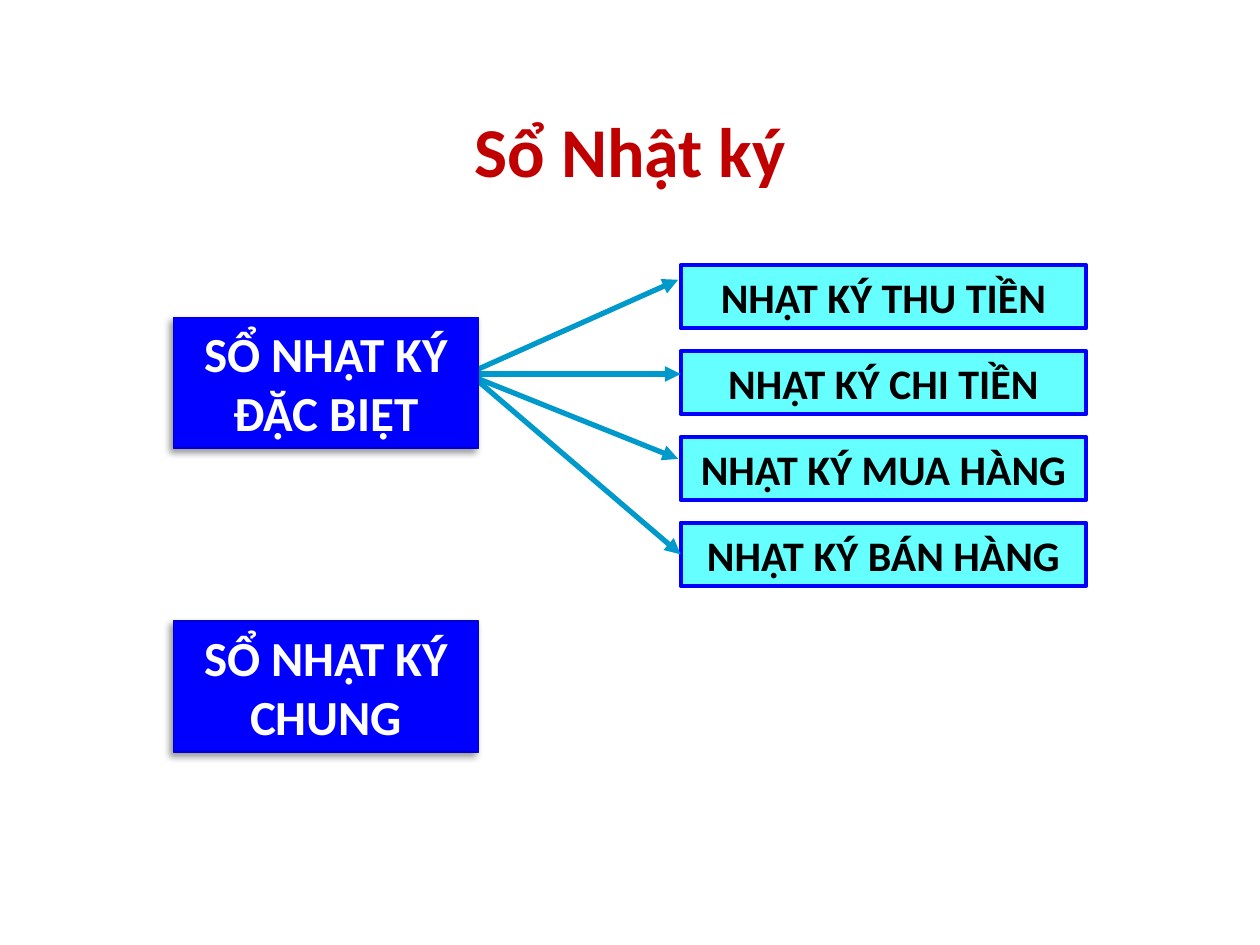
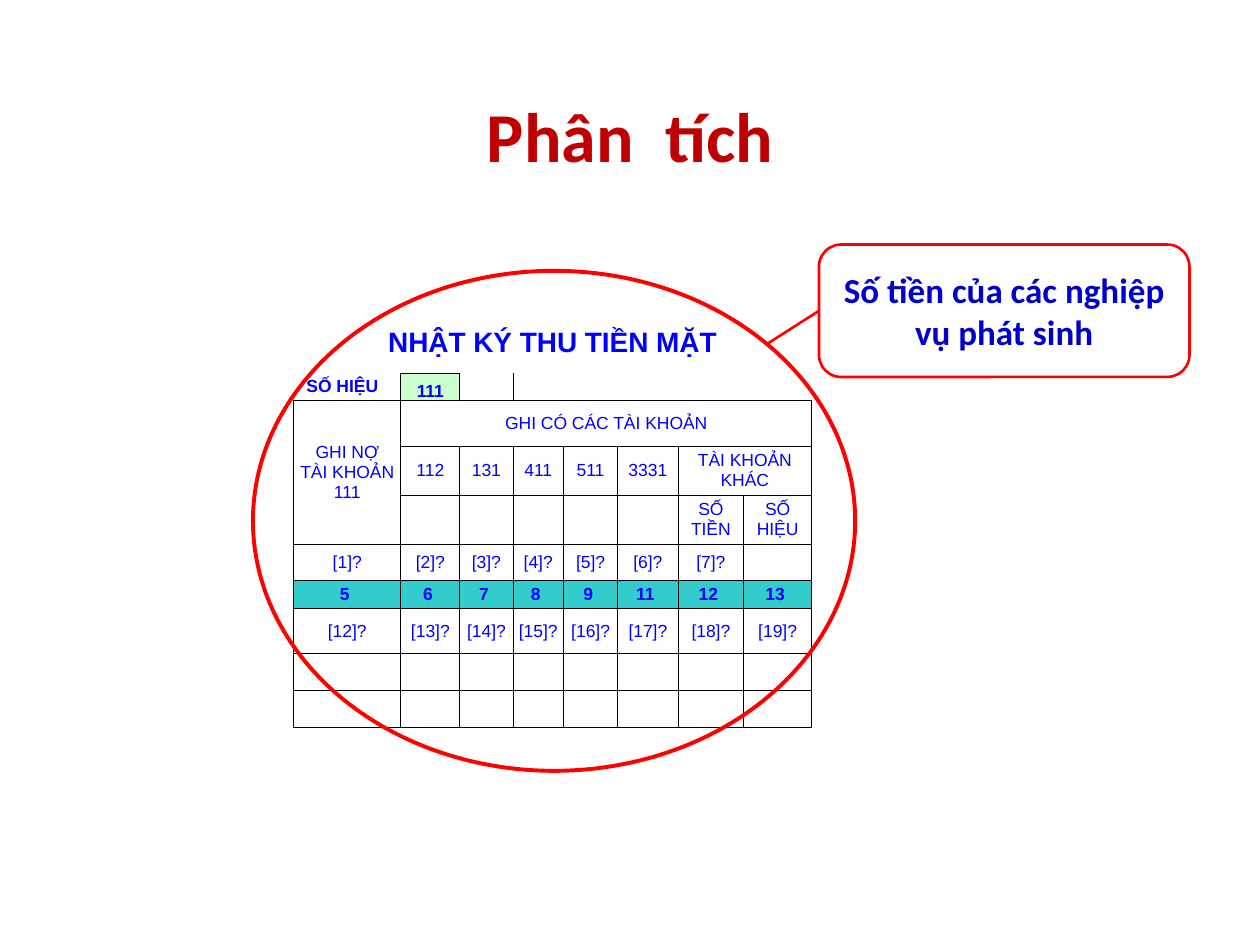
from lxml.etree import SubElement
from pptx import Presentation
from pptx.dml.color import RGBColor
from pptx.enum.shapes import MSO_CONNECTOR, MSO_SHAPE
from pptx.enum.text import MSO_ANCHOR, MSO_AUTO_SIZE, PP_ALIGN
from pptx.oxml.ns import qn
from pptx.util import Cm, Pt

BLACK = RGBColor(0, 0, 0)
WHITE = RGBColor(255, 255, 255)
CRIMSON = RGBColor(0xC0, 0, 0)
RED = RGBColor(0xFF, 0, 0)
BLUE = RGBColor(0, 0, 0xFF)
NAVY = RGBColor(0, 0, 0xCC)
CYAN = RGBColor(0x66, 0xFF, 0xFF)
TEAL = RGBColor(0x33, 0xCC, 0xCC)
MINT = RGBColor(0xCC, 0xFF, 0xCC)
STEEL = RGBColor(0, 0x99, 0xCC)

NO_STYLE = "{2D5ABB26-0587-4C30-8999-92F81FD0307C}"
LEFT_SIDE = 1

JOURNALS = ["NHẬT KÝ THU TIỀN", "NHẬT KÝ CHI TIỀN",
            "NHẬT KÝ MUA HÀNG", "NHẬT KÝ BÁN HÀNG"]
ARROWS = [((9.53, 7.49), (13.67, 5.64)),
          ((9.53, 7.54), (13.72, 7.54)),
          ((9.53, 7.59), (13.67, 9.25)),
          ((9.53, 7.59), (13.72, 11.18))]

WIDTHS = [2.16, 1.19, 1.07, 1.02, 1.09, 1.22, 1.32, 1.37]
HEIGHTS = [1.22, 0.56, 0.91, 0.99, 0.99, 0.74, 0.56, 0.91, 0.74, 0.74]
LEDGER = [
    ["NHẬT KÝ THU TIỀN MẶT"],
    ["SỐ HIỆU", "111"],
    ["GHI NỢ\nTÀI KHOẢN\n111", "GHI CÓ CÁC TÀI KHOẢN"],
    ["", "112", "131", "411", "511", "3331", "TÀI KHOẢN KHÁC"],
    ["", "", "", "", "", "", "SỐ TIỀN", "SỐ HIỆU"],
    [f"[{n}]?" for n in range(1, 8)],
    ["5", "6", "7", "8", "9", "11", "12", "13"],
    [f"[{n}]?" for n in range(12, 20)],
    [],
    [],
]
MERGES = [((0, 0), (0, 7)), ((2, 0), (4, 0)), ((2, 1), (2, 7)), ((3, 6), (3, 7))]
TITLE_ROW, CODE_ROW, HEAD_ROW, INDEX_ROW = 0, 1, 2, 6
CODE_EDGES = ["RB", "LTRB", "LB"] + ["B"] * 5


def write(frame, text, size, color, bold=True, face="Calibri"):
    frame.text = text
    frame.word_wrap = True
    for para in frame.paragraphs:
        para.alignment = PP_ALIGN.CENTER
        font = para.font
        font.name, font.size, font.bold = face, Pt(size), bold
        font.color.rgb = color


def add_title(slide, text, top):
    frame = slide.shapes.add_textbox(Cm(2.7), Cm(top), Cm(20), Cm(2.45)).text_frame
    write(frame, text, 40, CRIMSON)
    frame.vertical_anchor = MSO_ANCHOR.MIDDLE
    frame.margin_left = frame.margin_right = Cm(0.1)
    frame.margin_top = frame.margin_bottom = Cm(0.1)
    frame.paragraphs[0].line_spacing = 0.9


def add_form(slide, kind, place, edge, width, fill=None):
    form = slide.shapes.add_shape(kind, *map(Cm, place))
    form.shadow.inherit = False
    if fill is None:
        form.fill.background()
    else:
        form.fill.solid()
        form.fill.fore_color.rgb = fill
    form.line.color.rgb = edge
    form.line.width = Pt(width)
    return form


def add_box(slide, text, place, fill, edge, width, size, color):
    box = add_form(slide, MSO_SHAPE.RECTANGLE, place, edge, width, fill)
    write(box.text_frame, text, size, color)
    box.text_frame.vertical_anchor = MSO_ANCHOR.TOP
    box.text_frame.auto_size = MSO_AUTO_SIZE.SHAPE_TO_FIT_TEXT
    return box


def add_book(slide, text, top):
    book = add_box(slide, text, (3.5, top, 6.15, 2.64), BLUE, NAVY, 1, 28, WHITE)
    effects = book._element.spPr.find(qn("a:effectLst"))
    shade = SubElement(effects, qn("a:outerShdw"), blurRad=str(Pt(4)),
                       dist=str(Pt(3)), dir=str(135 * 60000),
                       algn="tr", rotWithShape="0")
    tint = SubElement(shade, qn("a:srgbClr"), val=str(BLACK))
    SubElement(tint, qn("a:alpha"), val="40000")


def add_line(slide, start, end, color, width, head=False):
    line = slide.shapes.add_connector(MSO_CONNECTOR.STRAIGHT, *map(Cm, start + end))
    line.line.color.rgb = color
    line.line.width = Pt(width)
    props = line._element.spPr
    if head:
        SubElement(props.find(qn("a:ln")), qn("a:tailEnd"), type="triangle")
    SubElement(props, qn("a:effectLst"))
    return line


def add_edges(cell, sides):
    props = cell._tc.get_or_add_tcPr()
    for side in sides:
        edge = SubElement(props, qn(f"a:ln{side}"), w=str(Pt(0.5)))
        paint = SubElement(edge, qn("a:solidFill"))
        SubElement(paint, qn("a:srgbClr"), val=str(BLACK))


def dress(cell, row, col, text):
    if row >= HEAD_ROW:
        add_edges(cell, "LRTB")
    elif row == CODE_ROW:
        add_edges(cell, CODE_EDGES[col])
    code = (row, col) == (CODE_ROW, 1)
    if code or row == INDEX_ROW:
        cell.fill.solid()
        cell.fill.fore_color.rgb = MINT if code else TEAL
    else:
        cell.fill.background()
    cell.margin_left = cell.margin_top = cell.margin_bottom = 0
    cell.margin_right = 0
    if row == INDEX_ROW:
        cell.margin_right = Cm(0.1)
    elif (row, col) == (CODE_ROW, 0):
        cell.margin_right = Cm(0.2)
    cell.vertical_anchor = MSO_ANCHOR.BOTTOM if code else MSO_ANCHOR.MIDDLE
    write(cell.text_frame, text, 16 if row == TITLE_ROW else 10, BLUE,
          row in (TITLE_ROW, CODE_ROW, INDEX_ROW), "Arial")


def add_ledger(slide):
    frame = slide.shapes.add_table(len(HEIGHTS), len(WIDTHS), Cm(5.92), Cm(6.3),
                                   Cm(sum(WIDTHS)), Cm(sum(HEIGHTS)))
    table = frame.table
    table.first_row = table.horz_banding = False
    table._tbl.tblPr.find(qn("a:tableStyleId")).text = NO_STYLE
    for col, width in zip(table.columns, WIDTHS):
        col.width = Cm(width)
    for row, height in zip(table.rows, HEIGHTS):
        row.height = Cm(height)
    for first, last in MERGES:
        table.cell(*first).merge(table.cell(*last))
    for row, texts in enumerate(LEDGER):
        for col in range(len(WIDTHS)):
            cell = table.cell(row, col)
            if not cell.is_spanned:
                dress(cell, row, col, texts[col] if col < len(texts) else "")


def draw_books(slide):
    boxes = [add_box(slide, text, (13.72, 5.35 + 1.73 * i, 8.18, 1.27),
                     CYAN, BLUE, 2.25, 24, BLACK)
             for i, text in enumerate(JOURNALS)]
    lines = [add_line(slide, start, end, STEEL, 3, True) for start, end in ARROWS]
    lines[-1].end_connect(boxes[-1], LEFT_SIDE)
    add_book(slide, "SỔ NHẬT KÝ ĐẶC BIỆT", 6.4)
    add_book(slide, "SỔ NHẬT KÝ CHUNG", 12.52)
    add_title(slide, "Sổ Nhật ký", 1.9)


def draw_ledger(slide):
    add_ledger(slide)
    add_form(slide, MSO_SHAPE.OVAL, (5.1, 5.46, 12.14, 10.08), RED, 2.25)
    note = add_form(slide, MSO_SHAPE.ROUNDED_RECTANGLE,
                    (16.51, 4.93, 7.47, 2.67), RED, 1.5)
    write(note.text_frame, "Số tiền của các nghiệp vụ phát sinh", 20, NAVY)
    link = add_line(slide, (16.51, 6.26), (15.47, 6.93), RED, 1.5)
    link.begin_connect(note, LEFT_SIDE)
    add_title(slide, "Phân  tích", 1.6)


def main():
    deck = Presentation()
    deck.slide_width, deck.slide_height = Cm(25.4), Cm(19.05)
    for draw in (draw_books, draw_ledger):
        draw(deck.slides.add_slide(deck.slide_layouts[6]))
    deck.save("out.pptx")


if __name__ == "__main__":
    main()
